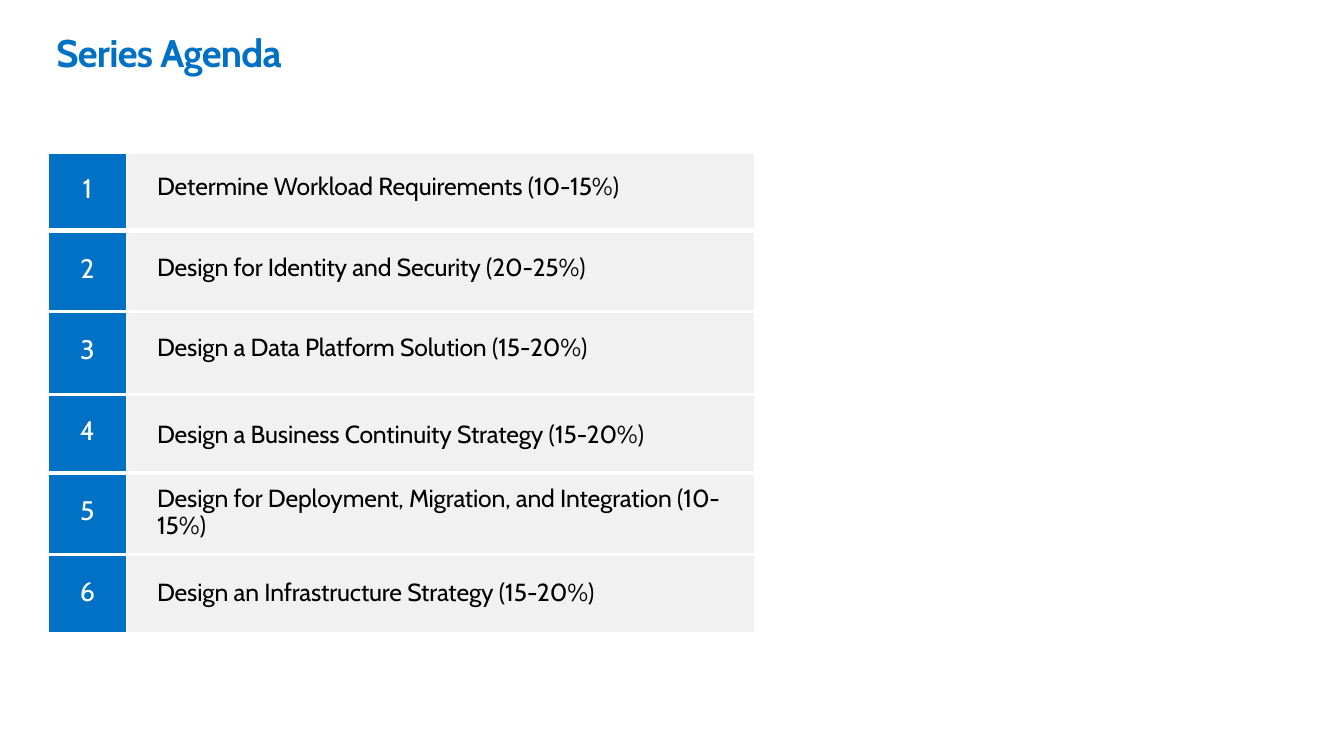
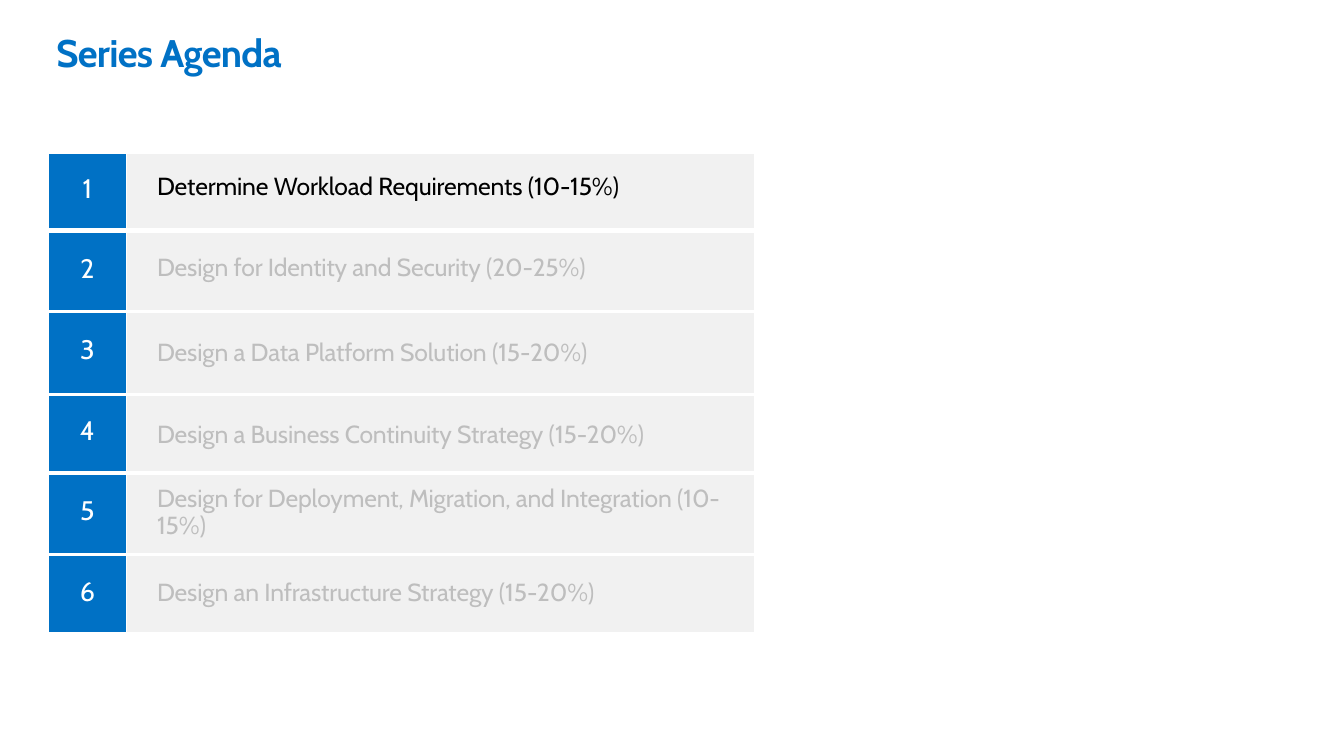
from dataclasses import dataclass

from lxml.etree import SubElement
from pptx import Presentation
from pptx.dml.color import RGBColor
from pptx.enum.text import MSO_ANCHOR, PP_ALIGN
from pptx.oxml.ns import qn
from pptx.util import Emu, Pt

EMU_PER_PX = 9144  # 100 px to the inch
FONT = "Cabin"
BLUE, GREY, WHITE, BLACK, MUTED = "0071C5", "F1F1F1", "FFFFFF", "000000", "BEBEBE"

TITLE_BOX = (57, 28, 246, 49)
AGENDA_BOX = (49, 154, 715, 487)
NUMBER_WIDTH = 79
SIDE_RULE = 1
ROW_RULES = [2.25, 4.25, 2.25, 2.25, 3, 2.25, 2.25]


@dataclass
class Topic:
    label: str
    height: int
    number_top: int
    label_top: int
    line_points: float = 0


TOPICS = [
    Topic("Determine Workload Requirements (10-15%)", 79, 21, 20),
    Topic("Design for Identity and Security (20-25%)", 82, 23, 23),
    Topic("Design a Data Platform Solution (15-20%)", 84, 23, 22),
    Topic("Design a Business Continuity Strategy (15-20%)", 80, 21, 26),
    Topic("Design for Deployment, Migration, and Integration (10-15%)", 82, 22, 14, 19.4),
    Topic("Design an Infrastructure Strategy (15-20%)", 80, 22, 24),
]


def px(length):
    return Emu(length * EMU_PER_PX)


def color(hex_string):
    return RGBColor.from_string(hex_string)


def write(text_frame, text, size, hex_string, bold=False, spacing=0):
    """Set one paragraph; spacing is the letter spacing in hundredths of a point."""
    paragraph = text_frame.paragraphs[0]
    paragraph.text = text
    run = paragraph.runs[0]
    font = run.font
    font.name, font.size, font.bold = FONT, Pt(size), bold
    font.color.rgb = color(hex_string)
    if spacing:
        font._element.set("spc", str(spacing))
    return paragraph


def set_borders(cell, top, bottom):
    properties = cell._tc.get_or_add_tcPr()
    sides = {"a:lnL": SIDE_RULE, "a:lnR": SIDE_RULE, "a:lnT": top, "a:lnB": bottom}
    for position, (tag, width) in enumerate(sides.items()):
        line = SubElement(properties, qn(tag), w=str(Pt(width)))
        fill = SubElement(line, qn("a:solidFill"))
        SubElement(fill, qn("a:srgbClr"), val=WHITE)
        properties.insert(position, line)


def style_cell(cell, fill, margin_left, margin_top, rules):
    cell.fill.solid()
    cell.fill.fore_color.rgb = color(fill)
    cell.margin_left, cell.margin_top = px(margin_left), px(margin_top)
    cell.margin_right = cell.margin_bottom = 0
    cell.vertical_anchor = MSO_ANCHOR.TOP
    set_borders(cell, *rules)


def add_title(slide, box, text):
    text_frame = slide.shapes.add_textbox(*map(px, box)).text_frame
    text_frame.word_wrap = True
    text_frame.margin_left = text_frame.margin_right = text_frame.margin_bottom = 0
    text_frame.margin_top = px(1)
    write(text_frame, text, 28, BLUE, bold=True, spacing=-50)


def add_agenda(slide, box, active, label_tops):
    """Add the topic table; rows outside active are muted, label_tops overrides offsets."""
    table = slide.shapes.add_table(len(TOPICS), 2, *map(px, box)).table
    table.first_row = table.horz_banding = False
    table.columns[0].width = px(NUMBER_WIDTH)
    table.columns[1].width = px(box[2] - NUMBER_WIDTH)
    for index, topic in enumerate(TOPICS):
        number = index + 1
        rules = ROW_RULES[index:index + 2]
        table.rows[index].height = px(topic.height)

        number_cell = table.cell(index, 0)
        style_cell(number_cell, BLUE, 0, topic.number_top, rules)
        paragraph = write(number_cell.text_frame, str(number), 19.5, WHITE)
        paragraph.alignment = PP_ALIGN.CENTER

        label_cell = table.cell(index, 1)
        style_cell(label_cell, GREY, 31, label_tops.get(number, topic.label_top), rules)
        text_color = BLACK if number in active else MUTED
        paragraph = write(label_cell.text_frame, topic.label, 18, text_color, spacing=-10)
        if topic.line_points:
            paragraph.line_spacing = Pt(topic.line_points)


def add_agenda_slide(presentation, active, label_tops):
    slide = presentation.slides.add_slide(presentation.slide_layouts[6])
    add_title(slide, TITLE_BOX, "Series Agenda")
    add_agenda(slide, AGENDA_BOX, active, label_tops)


def main():
    presentation = Presentation()
    presentation.slide_width, presentation.slide_height = px(1360), px(765)
    add_agenda_slide(presentation, active=range(1, len(TOPICS) + 1), label_tops={})
    add_agenda_slide(presentation, active=[1], label_tops={3: 27})
    presentation.save("out.pptx")


if __name__ == "__main__":
    main()
